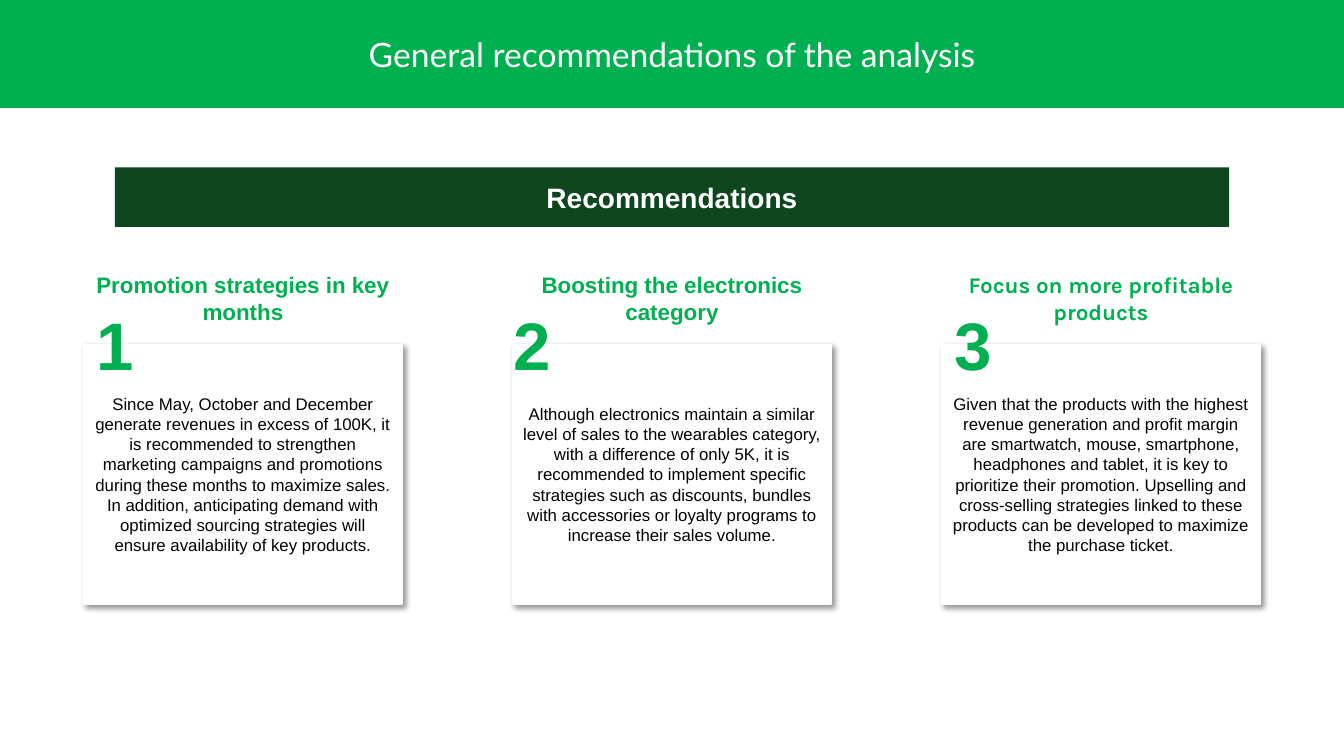
from lxml import etree
from pptx import Presentation
from pptx.dml.color import RGBColor
from pptx.enum.shapes import MSO_SHAPE
from pptx.enum.text import MSO_ANCHOR, MSO_AUTO_SIZE, PP_ALIGN
from pptx.oxml.ns import qn
from pptx.util import Inches, Pt

RECTANGLE = MSO_SHAPE.RECTANGLE
CENTER = PP_ALIGN.CENTER
MIDDLE, TOP = MSO_ANCHOR.MIDDLE, MSO_ANCHOR.TOP
FIXED = MSO_AUTO_SIZE.NONE

WIDTH, HEIGHT = 13.33, 7.5
TITLE_ONLY = 5
GREEN, DARK_GREEN, WHITE, BLACK = "00B050", "0E461D", "FFFFFF", "000000"

FIRST_LEFT, COLUMN_STEP, COLUMN_WIDTH = 0.83, 4.255, 3.16
HEADING_TOP, HEADING_HEIGHT = 2.64, 0.64
CARD_TOP, CARD_HEIGHT = 3.42, 2.57
NUMBER_TOP, NUMBER_WIDTH, NUMBER_HEIGHT = 2.96, 1.12, 0.91

TITLE_TEXT = {"name": "Lato", "size": Pt(24), "bold": False}
BANNER_TEXT = {"name": "Arial", "size": Pt(20), "bold": True}
HEADING_TEXT = {"name": "Arial", "size": Pt(16), "bold": True}
NUMBER_TEXT = {"name": "Arial", "size": Pt(48), "bold": True}
BODY_TEXT = {"name": "Arial", "size": Pt(12), "bold": False}

RECOMMENDATIONS = [
    {
        "heading": "Promotion strategies in key months",
        "font": "Arial",
        "number_shift": -0.25,
        "body": "Since May, October and December generate revenues in excess of 100K, "
                "it is recommended to strengthen marketing campaigns and promotions "
                "during these months to maximize sales. In addition, anticipating demand "
                "with optimized sourcing strategies will ensure availability of key products.",
    },
    {
        "heading": "Boosting the electronics category",
        "font": "Arial",
        "number_shift": -0.37,
        "body": "Although electronics maintain a similar level of sales to the wearables "
                "category, with a difference of only 5K, it is recommended to implement "
                "specific strategies such as discounts, bundles with accessories or loyalty "
                "programs to increase their sales volume.",
    },
    {
        "heading": "Focus on more profitable products",
        "font": "Karla",
        "number_shift": -0.25,
        "body": "Given that the products with the highest revenue generation and profit "
                "margin are smartwatch, mouse, smartphone, headphones and tablet, it is key "
                "to prioritize their promotion. Upselling and cross-selling strategies linked "
                "to these products can be developed to maximize the purchase ticket.",
    },
]


def paint(color_format, color):
    """Give a fill's or font's colour format a hex colour."""
    color_format.rgb = RGBColor.from_string(color)


def fill_solid(box, color):
    """Fill a box with one hex colour."""
    box.fill.solid()
    paint(box.fill.fore_color, color)


def write(box, text, style, color, anchor):
    """Write one centred paragraph into a box."""
    frame = box.text_frame
    settings = {"word_wrap": True, "auto_size": FIXED, "vertical_anchor": anchor}
    for name, value in settings.items():
        setattr(frame, name, value)
    para = frame.paragraphs[0]
    para.alignment = CENTER
    span = para.add_run()
    span.text = text
    for name, value in style.items():
        setattr(span.font, name, value)
    paint(span.font.color, color)


def add_title(page, text):
    """Turn the title placeholder into the full-width band."""
    title = page.shapes.title
    place = {"left": 0, "top": 0, "width": Inches(WIDTH), "height": Inches(1.07)}
    for name, value in place.items():
        setattr(title, name, value)
    fill_solid(title, GREEN)
    write(title, text, TITLE_TEXT, WHITE, MIDDLE)


def add_panel(page, place, color):
    """Add a filled rectangle without outline or shadow."""
    panel = page.shapes.add_shape(RECTANGLE, *map(Inches, place))
    panel.shadow.inherit = False
    fill_solid(panel, color)
    panel.line.fill.background()
    return panel


def add_label(page, place, text, style):
    """Add a green text box."""
    label = page.shapes.add_textbox(*map(Inches, place))
    write(label, text, style, GREEN, TOP)


def cast_shadow(box):
    """Put a soft shadow at the lower right of a box."""
    effects = box._element.spPr.find(qn("a:effectLst"))
    shadow = etree.SubElement(
        effects, qn("a:outerShdw"), blurRad=str(Pt(4)), dist=str(Pt(3)),
        dir=str(45 * 60000), algn="tl", rotWithShape="0")
    color = etree.SubElement(shadow, qn("a:srgbClr"), val=BLACK)
    etree.SubElement(color, qn("a:alpha"), val="40000")


def add_recommendation(page, index, item):
    """Add one column: shadowed card, heading and number."""
    left = FIRST_LEFT + index * COLUMN_STEP
    card = add_panel(page, (left, CARD_TOP, COLUMN_WIDTH, CARD_HEIGHT), WHITE)
    paint_line = card.line
    paint_line.fill.solid()
    paint(paint_line.color, WHITE)
    paint_line.width = Pt(1.5)
    cast_shadow(card)
    write(card, item["body"], BODY_TEXT, BLACK, MIDDLE)
    add_label(page, (left, HEADING_TOP, COLUMN_WIDTH, HEADING_HEIGHT),
              item["heading"], {**HEADING_TEXT, "name": item["font"]})
    add_label(page, (left + item["number_shift"], NUMBER_TOP, NUMBER_WIDTH, NUMBER_HEIGHT),
              str(index + 1), NUMBER_TEXT)


def main():
    """Build and save the recommendations slide."""
    deck = Presentation()
    deck.slide_width, deck.slide_height = Inches(WIDTH), Inches(HEIGHT)
    page = deck.slides.add_slide(deck.slide_layouts[TITLE_ONLY])
    add_title(page, "General recommendations of the analysis")
    banner_width = 11.05
    banner = add_panel(page, ((WIDTH - banner_width) / 2, 1.66, banner_width, 0.59), DARK_GREEN)
    write(banner, "Recommendations", BANNER_TEXT, WHITE, MIDDLE)
    for index, item in enumerate(RECOMMENDATIONS):
        add_recommendation(page, index, item)
    deck.save("out.pptx")


if __name__ == "__main__":
    main()
